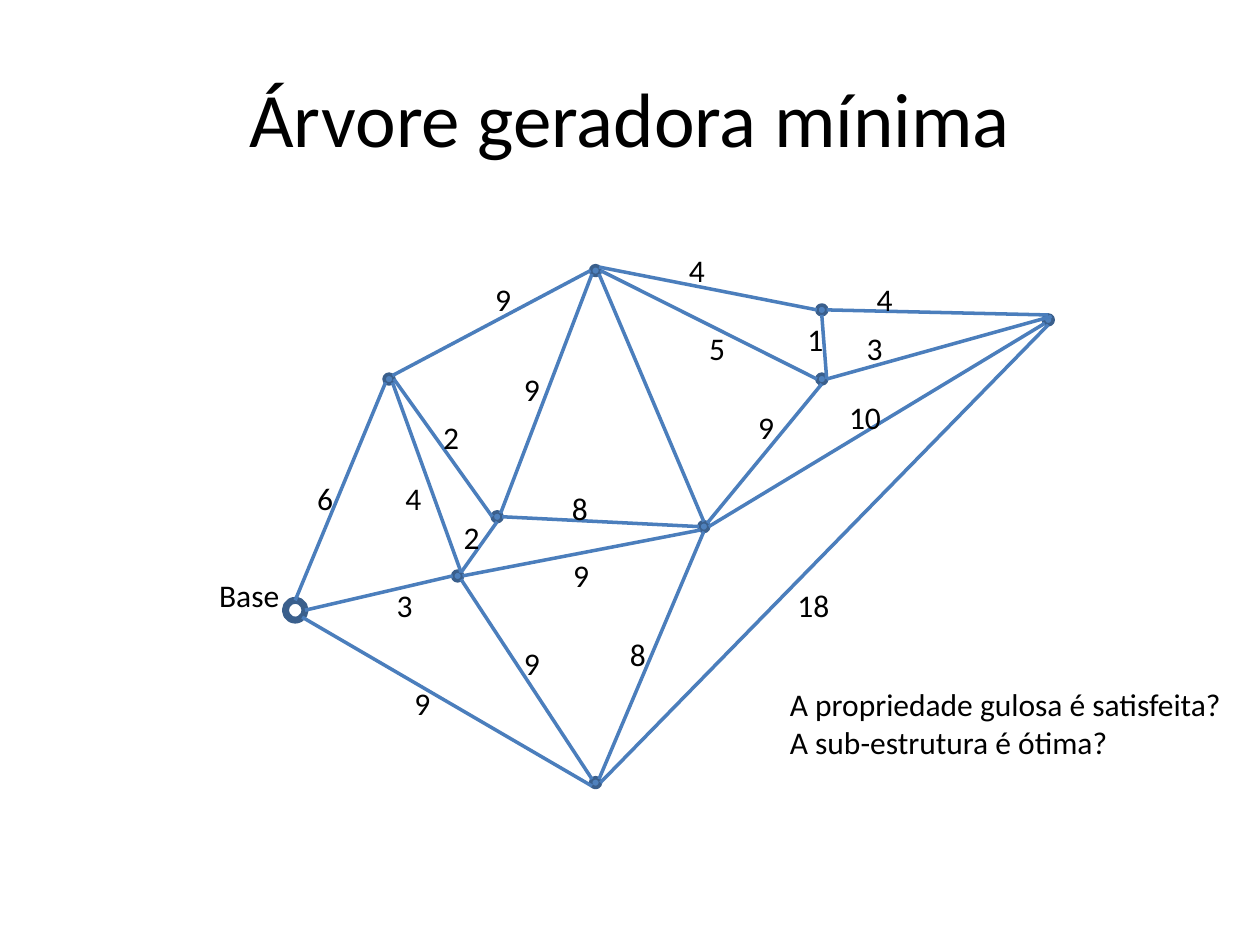
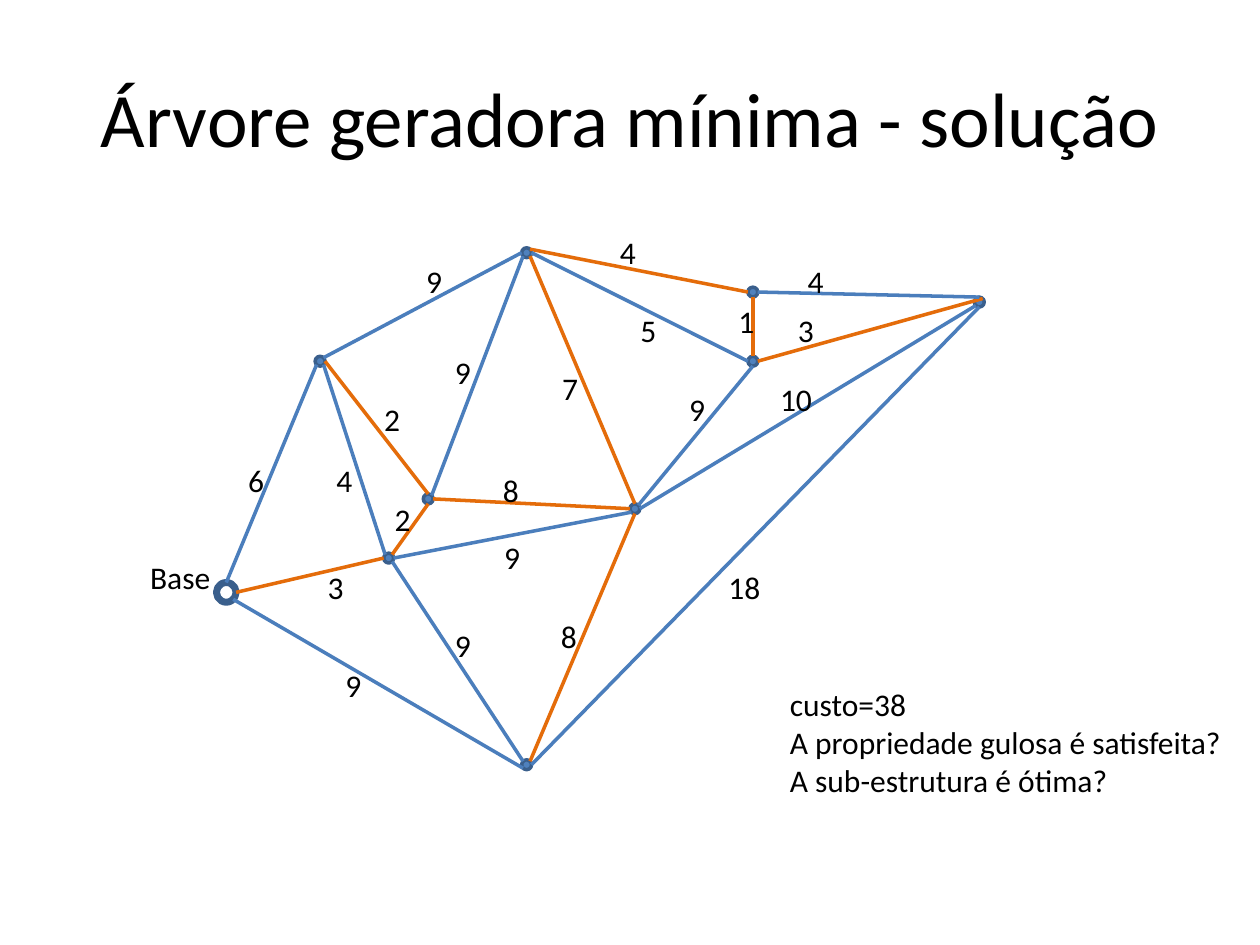
from dataclasses import dataclass, replace

from lxml import etree
from pptx import Presentation
from pptx.dml.color import RGBColor
from pptx.enum.shapes import MSO_CONNECTOR, MSO_SHAPE
from pptx.enum.text import MSO_ANCHOR, MSO_AUTO_SIZE, PP_ALIGN
from pptx.oxml.ns import qn
from pptx.util import Pt

STRAIGHT = MSO_CONNECTOR.STRAIGHT
CIRCLE = MSO_SHAPE.FLOWCHART_CONNECTOR
FIT_SHAPE, NO_FIT = MSO_AUTO_SIZE.SHAPE_TO_FIT_TEXT, MSO_AUTO_SIZE.NONE
MIDDLE, CENTER, LEFT = MSO_ANCHOR.MIDDLE, PP_ALIGN.CENTER, PP_ALIGN.LEFT

# Shared style
FONT = "Calibri"
BLACK, NODE_FILL, NODE_LINE = "000000", "4F81BD", "3A5F8C"
EDGE_COLOR, TREE_COLOR = "4B7EBC", "E46C0A"
TITLE_SIZE, TEXT_SIZE = 44, 18
TITLE_AREA = (36, 21.6, 648, 90)
LINE_HEIGHT, TEXT_MARGIN = 21.8, 7.2
QUESTIONS = ["A propriedade gulosa é satisfeita?", "A sub-estrutura é ótima?"]


@dataclass(frozen=True)
class Node:
    x: float
    y: float
    size: float = 5.63
    line_width: float = 2
    filled: bool = True

    def site(self, direction: str) -> tuple[float, float]:
        """Point on the rim in a compass direction, such as N or SW."""
        across = ("E" in direction) - ("W" in direction)
        down = ("S" in direction) - ("N" in direction)
        reach = self.size / 2 / (across ** 2 + down ** 2) ** 0.5
        return self.x + across * reach, self.y + down * reach


@dataclass(frozen=True)
class Edge:
    start: str
    start_site: str
    end: str
    end_site: str
    weight: str
    label_x: float
    label_y: float
    in_tree: bool = False


@dataclass(frozen=True)
class GraphSlide:
    title: str
    edges: list[Edge]
    notes: list[str]
    shift: tuple[float, float] = (0, 0)
    solved: bool = False


NODES = {
    "base": Node(168.7, 348.7, 11.25, 4, False),
    "west": Node(222.3, 216.6),
    "inner": Node(284.1, 295.3),
    "low": Node(261.5, 329.1),
    "south": Node(340.3, 447.2),
    "middle": Node(402.2, 300.9),
    "north": Node(340.3, 154.6),
    "upper": Node(469.6, 177.1),
    "lower": Node(469.6, 216.6),
    "east": Node(599.0, 182.8),
}

EDGES = [
    Edge("base", "N", "west", "SW", "6", 174.2, 270),
    Edge("base", "E", "low", "W", "3", 219.6, 331.2, True),
    Edge("west", "E", "inner", "W", "2", 246.2, 235.4, True),
    Edge("low", "NE", "inner", "S", "2", 257.8, 292.3, True),
    Edge("low", "NE", "west", "SE", "4", 224.6, 270),
    Edge("south", "NE", "middle", "S", "8", 352.8, 359.3, True),
    Edge("low", "SE", "south", "NW", "9", 292.3, 364.3),
    Edge("middle", "W", "inner", "E", "8", 319.7, 275.8, True),
    Edge("east", "NE", "lower", "E", "3", 488.2, 184.3, True),
    Edge("west", "NE", "north", "W", "9", 275.8, 156.2),
    Edge("lower", "E", "upper", "S", "1", 454.3, 179.3, True),
    Edge("north", "NE", "upper", "W", "4", 386.6, 139.7, True),
    Edge("north", "SW", "inner", "NE", "9", 292.3, 208.1),
    Edge("base", "SE", "south", "SW", "9", 229.7, 387.4),
    Edge("low", "E", "middle", "SW", "9", 320.4, 313.9),
    Edge("north", "SE", "middle", "N", "", 353.5, 217.6, True),
    Edge("north", "E", "lower", "W", "5", 398.2, 184.3),
    Edge("south", "E", "east", "S", "18", 448.6, 331.2),
    Edge("lower", "S", "middle", "NE", "9", 426.2, 229.7),
    Edge("east", "SW", "middle", "E", "10", 478.1, 223.9),
    Edge("upper", "E", "east", "N", "4", 493.9, 156.2),
]

# What the solution slide changes, by edge
SOLUTION_CHANGES = {
    ("west", "inner"): {"end_site": "N", "label_x": 251.8},
    ("low", "west"): {"start_site": "NW"},
    ("lower", "upper"): {"start_site": "N"},
    ("north", "middle"): {"weight": "7"},
}
SOLVED_EDGES = [replace(edge, **SOLUTION_CHANGES.get((edge.start, edge.end), {}))
                for edge in EDGES]

SLIDES = [
    GraphSlide("Árvore geradora mínima", EDGES, QUESTIONS),
    GraphSlide("Árvore geradora mínima - solução", SOLVED_EDGES,
               ["custo=38", *QUESTIONS], (-39.4, -10.2), True),
]


def color(value: str) -> RGBColor:
    return RGBColor.from_string(value)


def write(frame, lines: list[str], size: float, align) -> None:
    frame.text = "\n".join(lines)
    for para in frame.paragraphs:
        para.alignment = align
        para.font.name = FONT
        para.font.size = Pt(size)
        para.font.color.rgb = color(BLACK)


def add_title(page, text: str) -> None:
    title = page.shapes.title
    title.left, title.top, title.width, title.height = map(Pt, TITLE_AREA)
    frame = title.text_frame
    write(frame, [text], TITLE_SIZE, CENTER)
    frame.vertical_anchor = MIDDLE
    frame.auto_size = NO_FIT


def add_text(page, lines: list[str], x: float, y: float, width: float) -> None:
    height = len(lines) * LINE_HEIGHT + TEXT_MARGIN
    box = page.shapes.add_textbox(Pt(x), Pt(y), Pt(width), Pt(height))
    box.text_frame.word_wrap = False
    box.text_frame.auto_size = FIT_SHAPE
    write(box.text_frame, lines, TEXT_SIZE, LEFT)


def add_node(page, node: Node) -> None:
    half = node.size / 2
    circle = page.shapes.add_shape(CIRCLE, Pt(node.x - half), Pt(node.y - half),
                                   Pt(node.size), Pt(node.size))
    circle.shadow.inherit = False
    if node.filled:
        circle.fill.solid()
        circle.fill.fore_color.rgb = color(NODE_FILL)
    else:
        circle.fill.background()
    circle.line.color.rgb = color(NODE_LINE)
    circle.line.width = Pt(node.line_width)


def add_edge(page, edge: Edge, nodes: dict[str, Node], line_color: str) -> None:
    start = nodes[edge.start].site(edge.start_site)
    end = nodes[edge.end].site(edge.end_site)
    line = page.shapes.add_connector(STRAIGHT, *map(Pt, start + end))
    line.line.color.rgb = color(line_color)
    line.line.width = Pt(2)
    etree.SubElement(line._element.spPr, qn("a:effectLst"))


def draw_slide(deck, content: GraphSlide) -> None:
    page = deck.slides.add_slide(deck.slide_layouts[5])
    add_title(page, content.title)
    dx, dy = content.shift
    nodes = {name: replace(node, x=node.x + dx, y=node.y + dy)
             for name, node in NODES.items()}

    # Graph
    for node in nodes.values():
        add_node(page, node)
    for edge in content.edges:
        chosen = content.solved and edge.in_tree
        add_edge(page, edge, nodes, TREE_COLOR if chosen else EDGE_COLOR)

    # Weights and base label
    for edge in content.edges:
        if edge.weight:
            width = 14.4 + 9.3 * len(edge.weight)
            add_text(page, [edge.weight], edge.label_x + dx, edge.label_y + dy, width)
    add_text(page, ["Base"], 118.1 + dx, 325.4 + dy, 49)

    # Cost and questions
    add_text(page, content.notes, 444.3, 388, 264.2)


deck = Presentation()
deck.slide_width, deck.slide_height = Pt(720), Pt(540)
for slide_content in SLIDES:
    draw_slide(deck, slide_content)
deck.save("out.pptx")
